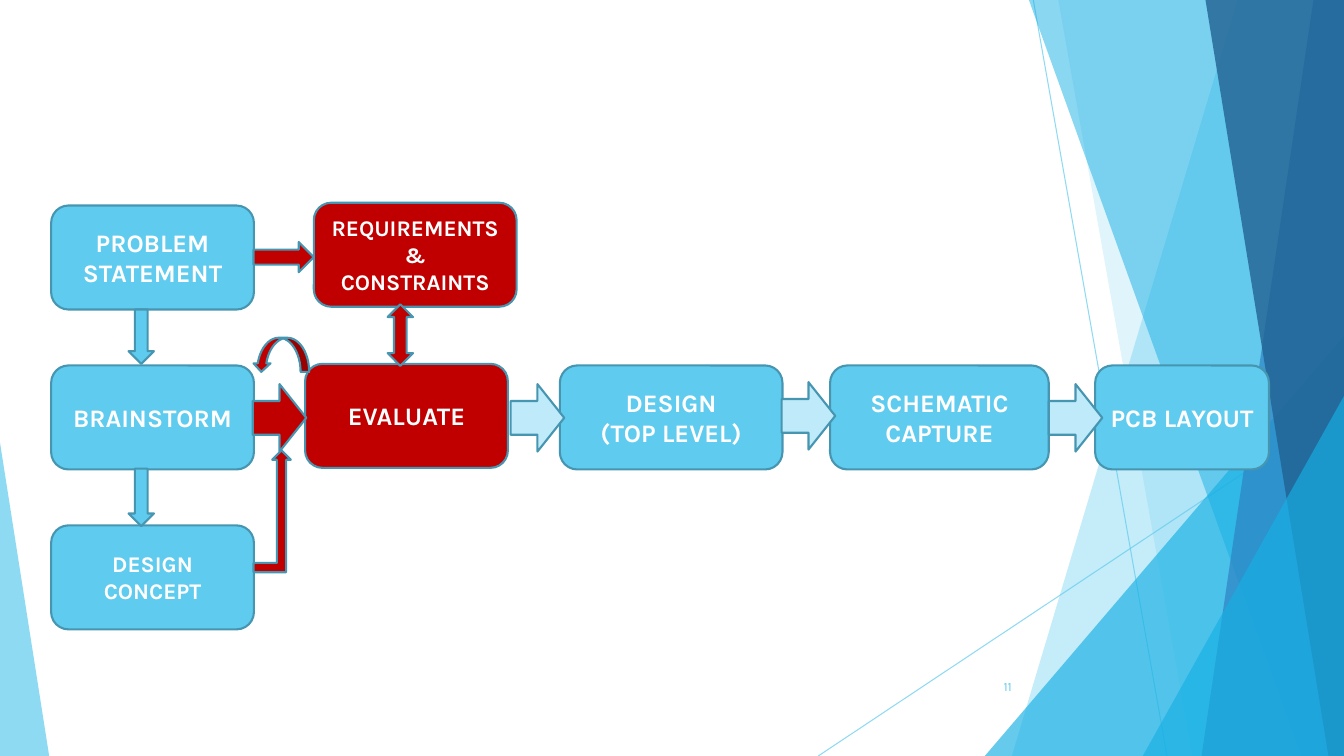
from dataclasses import dataclass

from lxml import etree
from pptx import Presentation
from pptx import util as u
from pptx.dml import color
from pptx.enum import shapes, text
from pptx.oxml import ns

Cm, Pt = u.Cm, u.Pt
Kind = shapes.MSO_SHAPE


@dataclass(frozen=True)
class Theme:
    font: str = "Karla"
    sky: str = "5FCBEF"
    pale: str = "BFEAF9"
    cyan: str = "17B0E4"
    blue: str = "2E83C3"
    navy: str = "226292"
    edge: str = "4696B1"
    red: str = "C00000"
    white: str = "FFFFFF"
    large: int = 18
    mid: int = 16
    small: int = 9


look = Theme()


def rgb(code):
    return color.RGBColor.from_string(code)


def fade(shape, alpha):
    """Make the shape's colours translucent, alpha in percent."""
    for tone in shape._element.spPr.iter(ns.qn("a:srgbClr")):
        etree.SubElement(tone, ns.qn("a:alpha")).set("val", str(alpha * 1000))


def paint(shape, fill, edge=None):
    shape.shadow.inherit = False
    shape.fill.solid()
    shape.fill.fore_color.rgb = rgb(fill)
    if edge:
        shape.line.color.rgb = rgb(edge)
        shape.line.width = Pt(1.5)
    else:
        shape.line.fill.background()


def write(shape, words, size, tone, align, bold=False):
    frame = shape.text_frame
    frame.word_wrap = True
    frame.vertical_anchor = text.MSO_ANCHOR.MIDDLE
    frame.text = words
    for para in frame.paragraphs:
        para.alignment = align
        para.font.name = look.font
        para.font.size = Pt(size)
        para.font.bold = bold
        para.font.color.rgb = rgb(tone)


def backdrop(slide, box):
    """Translucent shards along the right edge and one at the lower left."""
    left, top, width, height = box
    right, base = left + width, top + height

    def ray(x1, y1, x2, y2):
        line = slide.shapes.add_connector(
            shapes.MSO_CONNECTOR.STRAIGHT,
            Cm(left + x1), Cm(top + y1), Cm(left + x2), Cm(top + y2))
        line.line.color.rgb = rgb(look.sky)
        line.line.width = Pt(0.75)
        etree.SubElement(line._element.spPr, ns.qn("a:effectLst"))
        fade(line, 70)

    def shard(head, foot, fill, alpha):
        pen = slide.shapes.build_freeform(Cm(left + head), Cm(top))
        pen.add_line_segments([(Cm(right), Cm(top)), (Cm(right), Cm(base)),
                               (Cm(left + foot), Cm(base))])
        shape = pen.convert_to_shape()
        paint(shape, fill)
        fade(shape, alpha)

    def wedge(x, y, wide, apex, fill, alpha):
        shape = slide.shapes.add_shape(
            Kind.ISOSCELES_TRIANGLE, Cm(left + x), Cm(top + y),
            Cm(wide), Cm(height - y))
        shape.adjustments[0] = apex
        paint(shape, fill)
        fade(shape, alpha)

    ray(26.04, 0, 29.41, height)
    ray(width, 10.24, 20.62, height)
    shard(31.19, 25.5, look.sky, 36)
    shard(26.67, 30.05, look.sky, 20)
    wedge(24.82, 8.46, width - 24.82, 1, look.cyan, 66)
    shard(25.93, 32.79, look.cyan, 50)
    shard(33.1, 30.28, look.blue, 70)
    shard(30.38, 33.48, look.navy, 80)
    wedge(28.8, 9.98, width - 28.8, 1, look.cyan, 66)
    wedge(0, 11.15, 1.24, 0, look.sky, 70)


def flow(slide, box):
    """Design process: rounded steps joined by block arrows."""
    left, top, _, _ = box
    row = 4.03  # pitch of the left column
    first = 0.07

    def block(kind, x, y, wide, high, fill):
        shape = slide.shapes.add_shape(
            kind, Cm(left + x), Cm(top + y), Cm(wide), Cm(high))
        paint(shape, fill, look.edge)
        return shape

    # Steps: words, x, y, width, fill, size
    main = first + row
    steps = [
        ("BRAINSTORM", 0, main, 5.11, look.sky, look.large),
        ("PROBLEM STATEMENT", 0, first, 5.11, look.sky, look.large),
        ("DESIGN CONCEPT", 0, main + row, 5.11, look.sky, look.mid),
        ("EVALUATE", 6.4, 4.06, 5.11, look.red, look.large),
        ("DESIGN\n(TOP LEVEL)", 12.82, main, 5.61, look.sky, look.large),
        ("SCHEMATIC CAPTURE", 19.63, main, 5.51, look.sky, look.large),
        ("PCB LAYOUT", 26.31, main, 4.38, look.sky, look.large),
        ("REQUIREMENTS & CONSTRAINTS", 6.62, 0, 5.11, look.red, look.mid),
    ]
    for words, x, y, wide, fill, size in steps:
        step = block(Kind.ROUNDED_RECTANGLE, x, y, wide, 2.62, fill)
        write(step, words, size, look.white, text.PP_ALIGN.CENTER, True)

    # Arrows to the right
    block(Kind.RIGHT_ARROW, 5.1, 0.99, 1.52, 0.76, look.red)
    for x, y, fill in [(5.08, 4.57, look.red), (11.58, 4.57, look.pale),
                       (18.41, 4.52, look.pale), (25.14, 4.57, look.pale)]:
        block(Kind.RIGHT_ARROW, x, y, 1.35, 1.7, fill)

    # Arrows down the left column
    for y, high in [(2.69, 1.37), (6.7, 1.45)]:
        block(Kind.DOWN_ARROW, 1.95, y, 0.64, high, look.sky)

    # Feedback around the evaluation
    block(Kind.BENT_UP_ARROW, 5.1, 6.24, 0.94, 3.07, look.red)
    block(Kind.UP_DOWN_ARROW, 8.48, 2.56, 0.64, 1.55, look.red)
    loop = block(Kind.CURVED_UP_ARROW, 5.08, 3.4, 1.42, 0.86, look.red)
    loop.rotation = 180


def folio(slide, box):
    """Page number."""
    note = slide.shapes.add_textbox(*map(Cm, box))
    write(note, "11", look.small, look.sky, text.PP_ALIGN.RIGHT)


def main():
    deck = Presentation()
    wide, high = 33.87, 19.05
    deck.slide_width, deck.slide_height = Cm(wide), Cm(high)
    slide = deck.slides.add_slide(deck.slide_layouts[6])
    backdrop(slide, (0, 0, wide, high))
    flow(slide, (1.29, 5.11, 30.69, 10.75))
    folio(slide, (23.85, 16.79, 1.9, 1.02))
    deck.save("out.pptx")


if __name__ == "__main__":
    main()
